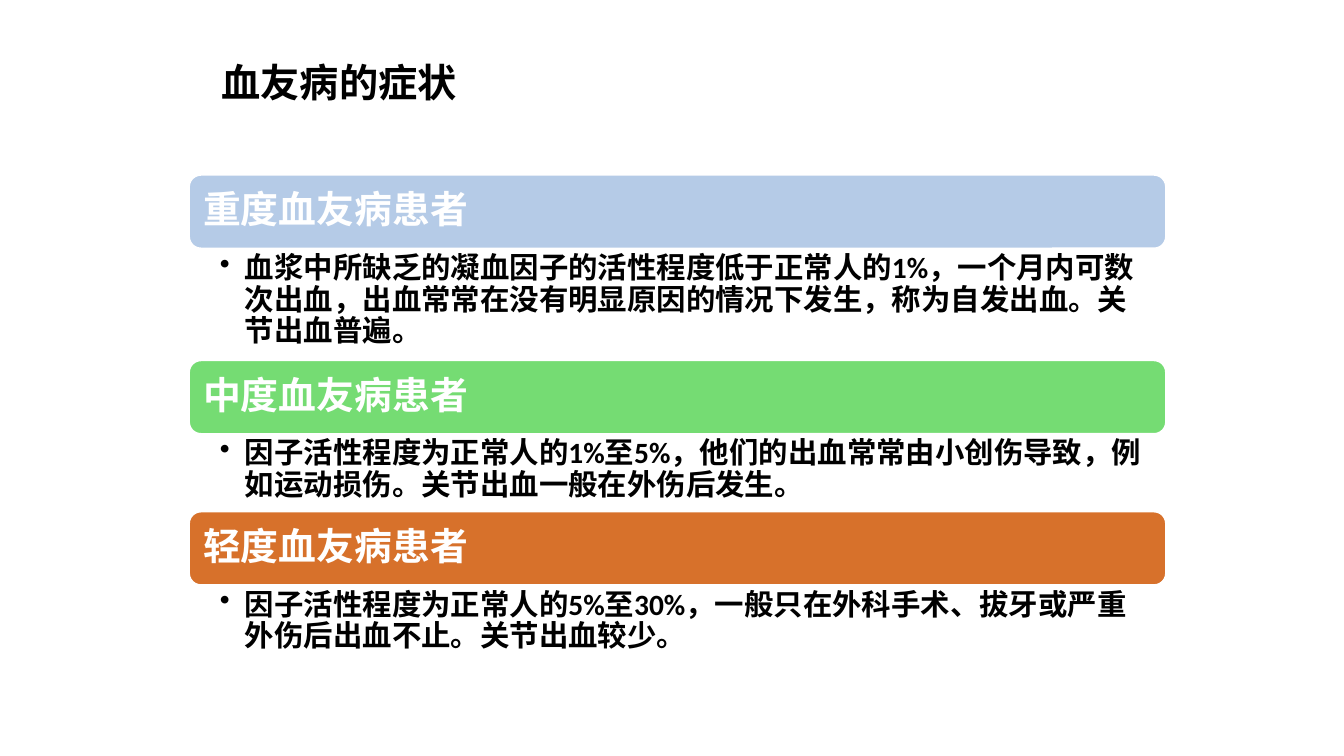
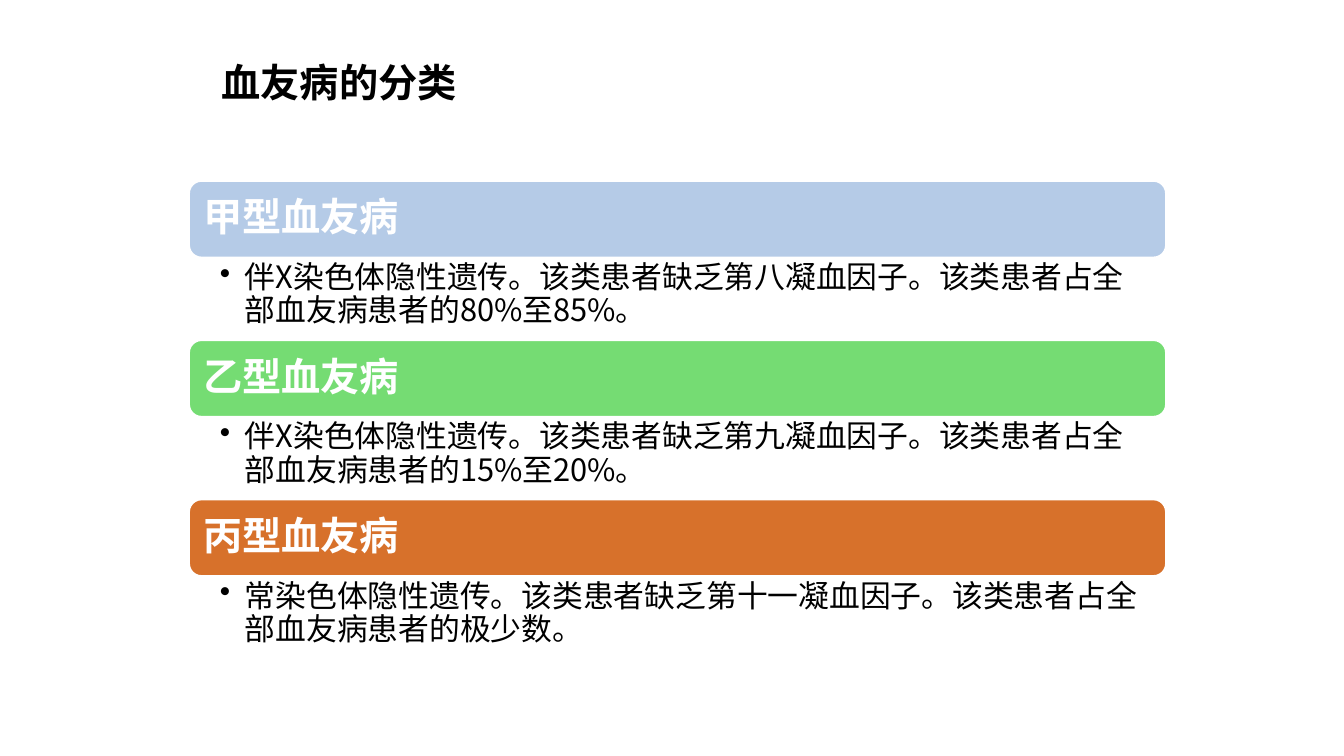
import pptx
import pptx.dml.color
import pptx.enum.shapes
import pptx.enum.text
import pptx.oxml
import pptx.oxml.ns
import pptx.util

Inches = pptx.util.Inches
CJK_FONT = "Noto Sans CJK SC"
LATIN_FONT = "Calibri"
COLOURS = {
    "text": "000000",
    "light": "FFFFFF",
    "blue": "B5CBE7",
    "green": "75DC73",
    "orange": "D7712B",
}
BAND_COLOURS = ("blue", "green", "orange")
LEFT, WIDTH = 1.87, 9.7

SLIDES = [
    {
        "title": "血友病的症状",
        "top": 1.73, "band_height": 0.74, "band_size": 27,
        "body_size": 21, "body_font": LATIN_FONT, "body_bold": True,
        "sections": [
            ("重度血友病患者", 1.1,
             "血浆中所缺乏的凝血因子的活性程度低于正常人的1%，一个月内可数次出血，"
             "出血常常在没有明显原因的情况下发生，称为自发出血。关节出血普遍。"),
            ("中度血友病患者", 0.76,
             "因子活性程度为正常人的1%至5%，他们的出血常常由小创伤导致，"
             "例如运动损伤。关节出血一般在外伤后发生。"),
            ("轻度血友病患者", 0.76,
             "因子活性程度为正常人的5%至30%，一般只在外科手术、拔牙或严重外伤后"
             "出血不止。关节出血较少。"),
        ],
    },
    {
        "title": "血友病的分类",
        "top": 1.79, "band_height": 0.77, "band_size": 28,
        "body_size": 22, "body_font": CJK_FONT, "body_bold": False,
        "sections": [
            ("甲型血友病", 0.81,
             "伴X染色体隐性遗传。该类患者缺乏第八凝血因子。"
             "该类患者占全部血友病患者的80%至85%。"),
            ("乙型血友病", 0.81,
             "伴X染色体隐性遗传。该类患者缺乏第九凝血因子。"
             "该类患者占全部血友病患者的15%至20%。"),
            ("丙型血友病", 0.81,
             "常染色体隐性遗传。该类患者缺乏第十一凝血因子。"
             "该类患者占全部血友病患者的极少数。"),
        ],
    },
]


def colour(name):
    return pptx.dml.color.RGBColor.from_string(COLOURS[name])


class Painter:
    """Holds the deck, its style and the current page."""

    def __init__(self):
        self.deck = pptx.Presentation()
        self.deck.slide_width = Inches(13.33)
        self.deck.slide_height = Inches(7.5)
        self.page = None

    def add_page(self):
        self.page = self.deck.slides.add_slide(self.deck.slide_layouts[6])

    def set_text(self, frame, text, size, font, ink="text", bold=True):
        para = frame.paragraphs[0]
        para.text = text
        para.alignment = pptx.enum.text.PP_ALIGN.LEFT
        para.font.name = font
        para.font.size = pptx.util.Pt(size)
        para.font.bold = bold
        para.font.color.rgb = colour(ink)
        east_asian = pptx.oxml.parse_xml(
            f'<a:ea {pptx.oxml.ns.nsdecls("a")} typeface="{CJK_FONT}"/>')
        para.font._element.append(east_asian)
        return para

    def title(self, text):
        box = self.page.shapes.add_textbox(
            Inches(2.1), Inches(0.53), Inches(2.57), Inches(0.57))
        box.text_frame.word_wrap = False
        self.set_text(box.text_frame, text, 28, CJK_FONT)

    def band(self, text, top, height, size, fill):
        band = self.page.shapes.add_shape(
            pptx.enum.shapes.MSO_SHAPE.ROUNDED_RECTANGLE,
            Inches(LEFT), Inches(top), Inches(WIDTH), Inches(height))
        band.shadow.inherit = False
        band.fill.solid()
        band.fill.fore_color.rgb = colour(fill)
        band.line.color.rgb = colour("light")
        band.line.width = pptx.util.Pt(2)
        frame = band.text_frame
        frame.word_wrap = True
        frame.vertical_anchor = pptx.enum.text.MSO_ANCHOR.MIDDLE
        frame.margin_left = frame.margin_right = Inches(0.11)
        para = self.set_text(frame, text, size, LATIN_FONT, "light")
        para.line_spacing = 0.9

    def bullet(self, text, top, height, size, font, bold):
        box = self.page.shapes.add_textbox(
            Inches(LEFT), Inches(top), Inches(WIDTH), Inches(height))
        frame = box.text_frame
        frame.word_wrap = True
        frame.margin_left, frame.margin_right = Inches(0.31), Inches(0.21)
        frame.margin_top = frame.margin_bottom = Inches(0.04)
        properties = frame.paragraphs[0]._p.get_or_add_pPr()
        properties.set("marL", str(Inches(0.25)))
        properties.set("indent", str(-Inches(0.25)))
        properties.append(pptx.oxml.parse_xml(
            f'<a:buChar {pptx.oxml.ns.nsdecls("a")} char="•"/>'))
        para = self.set_text(frame, text, size, font, bold=bold)
        para.line_spacing = 0.9


def main():
    painter = Painter()
    for content in SLIDES:
        painter.add_page()
        painter.title(content["title"])
        top, band_height = content["top"], content["band_height"]
        for fill, (heading, body_height, body) in zip(BAND_COLOURS, content["sections"]):
            painter.band(heading, top, band_height, content["band_size"], fill)
            painter.bullet(body, top + band_height, body_height, content["body_size"],
                           content["body_font"], content["body_bold"])
            top += band_height + body_height
    painter.deck.save("out.pptx")


if __name__ == "__main__":
    main()
